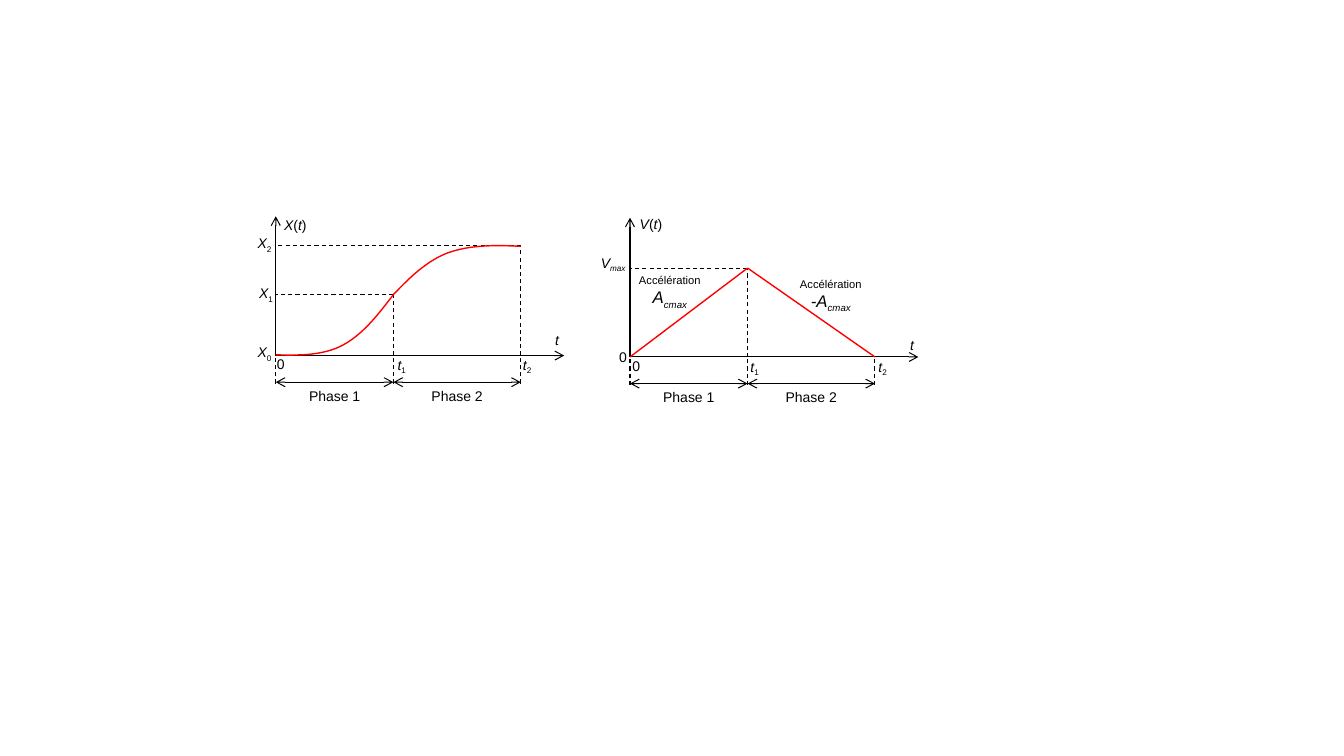
from lxml import etree
from pptx import Presentation
from pptx.dml.color import RGBColor
from pptx.enum.dml import MSO_LINE_DASH_STYLE as Dash
from pptx.enum.shapes import MSO_CONNECTOR as Connector
from pptx.enum.text import PP_ALIGN as Align
from pptx.oxml.ns import qn
from pptx.util import Pt

BLACK, RED = "000000", "FF0000"
T1, T2 = 84, 175            # instants along the time axis
AXIS_LENGTH, AXIS_HEIGHT = 206, 99.5
PHASE_DROP = 19             # phase arrows below the time axis
X1, X2, V_MAX = 43.5, 78.5, 63.5

# Styles of the runs inside a label
PLAIN, ITALIC, SUB, ITALIC_SUB = (False, False), (True, False), (False, True), (True, True)


def color(hex_value):
    return RGBColor.from_string(hex_value)


def add_line(shapes, origin, start, end, stroke=BLACK, weight=0.75,
             dashed=False, arrows=()):
    """Draw from start to end, given as (right, up) from the origin."""
    left, base = origin
    line = shapes.add_connector(
        Connector.STRAIGHT, Pt(left + start[0]), Pt(base - start[1]),
        Pt(left + end[0]), Pt(base - end[1]))
    line.line.color.rgb = color(stroke)
    line.line.width = Pt(weight)
    if dashed:
        line.line.dash_style = Dash.DASH
    for arrow_end in arrows:
        etree.SubElement(line.line._get_or_add_ln(), qn(f"a:{arrow_end}"), type="arrow")
    etree.SubElement(line._element.spPr, qn("a:effectLst"))


def add_label(shapes, origin, offset, width, *paragraphs, height=23):
    """Place centred text; each paragraph is a size and its (text, style) runs."""
    box = shapes.add_textbox(Pt(origin[0] + offset[0]), Pt(origin[1] + offset[1]),
                             Pt(width), Pt(height))
    frame = box.text_frame
    frame.word_wrap = True
    frame.margin_left = frame.margin_right = Pt(0)
    for index, (size, runs) in enumerate(paragraphs):
        paragraph = frame.add_paragraph() if index else frame.paragraphs[0]
        paragraph.alignment = Align.CENTER
        for text, (italic, subscript) in runs:
            run = paragraph.add_run()
            run.text = text
            run.font.name = "Arial"
            run.font.size = Pt(size)
            run.font.italic = italic
            run.font.color.rgb = color(BLACK)
            if subscript:
                run._r.get_or_add_rPr().set("baseline", "-25000")


def add_symbols(shapes, origin, symbols):
    for offset, width, runs in symbols:
        add_label(shapes, origin, offset, width, (10, runs))


def bezier_points(controls, steps=20):
    """Sample a chain of cubic segments that share their end points."""
    points = [controls[0]]
    for first in range(0, len(controls) - 1, 3):
        segment = controls[first:first + 4]
        for step in range(1, steps + 1):
            t = step / steps
            weights = ((1 - t) ** 3, 3 * t * (1 - t) ** 2, 3 * t ** 2 * (1 - t), t ** 3)
            points.append(tuple(sum(w * point[axis] for w, point in zip(weights, segment))
                                for axis in (0, 1)))
    return points


def add_curve(shapes, origin, controls):
    points = [(Pt(origin[0] + x), Pt(origin[1] - y)) for x, y in bezier_points(controls)]
    builder = shapes.build_freeform(*points[0])
    builder.add_line_segments(points[1:], close=False)
    curve = builder.convert_to_shape()
    curve.shadow.inherit = False
    curve.fill.background()
    curve.line.color.rgb = color(RED)
    curve.line.width = Pt(1)


def add_time_frame(shapes, origin):
    """Draw both axes, the marks under the time axis and the two phases."""
    add_line(shapes, origin, (0, 0), (AXIS_LENGTH, 0), arrows=["tailEnd"])
    add_line(shapes, origin, (0, 0), (0, AXIS_HEIGHT), arrows=["tailEnd"])
    for instant in (0, T1, T2):
        add_line(shapes, origin, (instant, -PHASE_DROP - 1), (instant, 0), dashed=True)
    for name, start, end in (("Phase 1", 0, T1), ("Phase 2", T1, T2)):
        add_line(shapes, origin, (start, -PHASE_DROP), (end, -PHASE_DROP),
                 arrows=["headEnd", "tailEnd"])
        add_label(shapes, origin, (start, PHASE_DROP), end - start,
                  (10, [(name, PLAIN)]))


def add_position_graph(shapes, origin):
    add_time_frame(shapes, origin)
    for instant, level in ((T1, X1), (T2, X2)):
        add_line(shapes, origin, (instant, level), (0, level), dashed=True)
        add_line(shapes, origin, (instant, 0), (instant, level), dashed=True)
    add_curve(shapes, origin, [
        (0, 0.5), (17, 0), (34, 0), (48, 7.5), (62, 15), (73, 29), (T1, X1),
        (95, 55), (107, 67), (122, 73), (138, 79), (156, 79), (T2, 78)])
    add_symbols(shapes, origin, [
        ((76.5, -3), 27, [("t", ITALIC), ("1", SUB)]),
        ((166, -3), 27, [("t", ITALIC), ("2", SUB)]),
        ((-10, -3.5), 27, [("0", PLAIN)]),
        ((-21.5, -12), 27, [("X", ITALIC), ("0", SUB)]),
        ((-20.5, -54), 27, [("X", ITALIC), ("1", SUB)]),
        ((-21.5, -90), 27, [("X", ITALIC), ("2", SUB)]),
        ((-2.5, -103), 33, [("X", ITALIC), ("(", PLAIN), ("t", ITALIC), (")", PLAIN)]),
        ((184.5, -20.5), 33, [("t", ITALIC)])])


def add_velocity_graph(shapes, origin):
    add_time_frame(shapes, origin)
    add_line(shapes, origin, (T1, V_MAX), (0, V_MAX), dashed=True)
    add_line(shapes, origin, (T1, 0), (T1, V_MAX), dashed=True)
    for foot in (0, T2):
        add_line(shapes, origin, (foot, 0), (T1, V_MAX), stroke=RED, weight=1)
    for offset, width, symbol in (((-8.5, -63), 74, "A"), ((111, -60.5), 65, "-A")):
        add_label(shapes, origin, offset, width, (8, [("Accélération", PLAIN)]),
                  (12, [(symbol, ITALIC), ("cmax", ITALIC_SUB)]), height=40)
    add_symbols(shapes, origin, [
        ((75.5, -2.5), 27, [("t", ITALIC), ("1", SUB)]),
        ((167, -2.5), 27, [("t", ITALIC), ("2", SUB)]),
        ((-18.5, -9.5), 27, [("0", PLAIN)]),
        ((-5, -3.5), 19, [("0", PLAIN)]),
        ((-31, -77), 38, [("V", ITALIC), ("max", ITALIC_SUB)]),
        ((-1.5, -104.5), 33, [("V", ITALIC), ("(", PLAIN), ("t", ITALIC), (")", PLAIN)]),
        ((185, -18), 33, [("t", ITALIC)])])


def main():
    deck = Presentation()
    deck.slide_width, deck.slide_height = Pt(960), Pt(540)
    slide = deck.slides.add_slide(deck.slide_layouts[6])
    add_velocity_graph(slide.shapes.add_group_shape().shapes, (450, 255))
    add_position_graph(slide.shapes.add_group_shape().shapes, (197, 254))
    deck.save("out.pptx")


if __name__ == "__main__":
    main()
